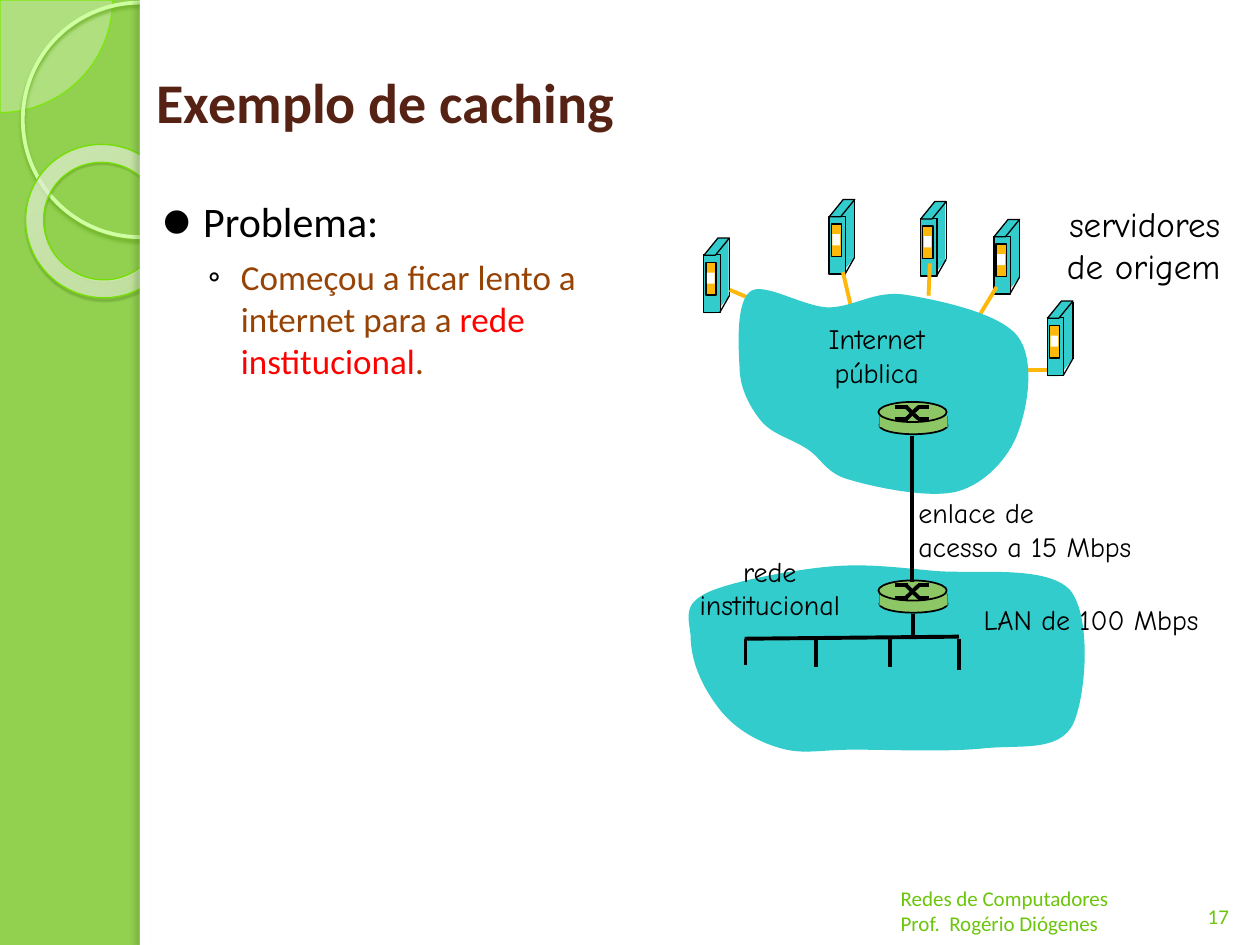
from lxml.etree import SubElement
from pptx import Presentation
from pptx.dml.color import RGBColor
from pptx.enum.shapes import MSO_CONNECTOR, MSO_SHAPE
from pptx.enum.text import MSO_ANCHOR, PP_ALIGN
from pptx.oxml import parse_xml
from pptx.oxml.ns import nsdecls, qn
from pptx.util import Pt

GREEN = RGBColor(0x92, 0xD0, 0x50)
LIME = RGBColor(0x7E, 0xE6, 0x0E)
PALE_LIME = RGBColor(0xCE, 0xFF, 0xA0)
PALE_GREEN = RGBColor(0xEE, 0xFE, 0xE3)
RING_EDGE = RGBColor(0x74, 0xE0, 0x02)
FOOTER_GREEN = RGBColor(0x6B, 0xC5, 0x0B)
ROUTER_GREEN = RGBColor(0x8D, 0xC7, 0x65)
TEAL = RGBColor(0x33, 0xCC, 0xCC)
AMBER = RGBColor(0xFE, 0xB8, 0x0A)
MAROON = RGBColor(0x56, 0x22, 0x14)
BROWN = RGBColor(0x96, 0x43, 0x05)
RED = RGBColor(0xFF, 0, 0)
BLACK = RGBColor(0, 0, 0)
WHITE = RGBColor(0xFF, 0xFF, 0xFF)
SANS, COMIC = "Calibri", "Comic Neue"

# Closed outlines: a start point, then cubic curves (two controls, one end).
INTERNET_OUTLINE = [
    (2.6, 48.5), (1.9, 36.3), (0.5, 11.1), (9.1, 5.3),
    (17, 0.3), (38.6, 14), (53, 14.7), (68.2, 14.7), (79.7, 4.6), (97.7, 7.5),
    (115.7, 10.4), (150.2, 17.6), (161, 30.5), (171.8, 43.5), (167.5, 70.8), (161.8, 86),
    (156.7, 100.4), (143, 115.5), (127.2, 119.8), (111.4, 124.1), (80.4, 117.6), (66, 113.3),
    (51.6, 109.7), (49.4, 100.4), (40.8, 95.3), (32.2, 89.6), (21.4, 87.4), (14.9, 79.5),
    (9.1, 72.3), (2.6, 61.5), (2.6, 48.5)]
INSTITUTION_OUTLINE = [
    (3.6, 40.9), (2.1, 29.4), (0, 23.6), (12.2, 17.1),
    (25.2, 10.6), (59, 4.2), (80.6, 2), (102.2, -0.2), (118.8, 2), (142.5, 4.2),
    (165.6, 6.3), (206.6, 0.6), (220.3, 15), (233.2, 30.1), (229.6, 77.6), (221.7, 92.7),
    (213.1, 107.8), (191.5, 103.5), (170.6, 105.7), (150.4, 107.8), (116.6, 106.4), (97.2, 106.4),
    (77.7, 106.4), (68.4, 109.3), (55.4, 105.7), (42.4, 102.1), (29.5, 94.9), (20.8, 84.1),
    (12.2, 73.3), (3.6, 58.2), (3.6, 40.9)]


def paint(shape, fill=None, line=None, weight=0.75):
    shape.shadow.inherit = False
    if fill is None:
        shape.fill.background()
    else:
        shape.fill.solid()
        shape.fill.fore_color.rgb = fill
    if line is None:
        shape.line.fill.background()
    else:
        shape.line.color.rgb = line
        shape.line.width = Pt(weight)


def add_part(shapes, kind, box, **look):
    shape = shapes.add_shape(kind, *map(Pt, box))
    paint(shape, **look)
    return shape


def add_line(shapes, start, end, color=BLACK, weight=2.25):
    line = shapes.add_connector(MSO_CONNECTOR.STRAIGHT, *map(Pt, start + end))
    line.line.color.rgb = color
    line.line.width = Pt(weight)
    SubElement(line.element.spPr, qn("a:effectLst"))


def add_shadow(shape, color, alpha, blur, distance, angle):
    effects = shape.element.spPr.find(qn("a:effectLst"))
    shadow = SubElement(effects, qn("a:outerShdw"), blurRad=str(Pt(blur)), dist=str(Pt(distance)),
                        dir=str(angle * 60000), algn="tl", rotWithShape="0")
    tone = SubElement(shadow, qn("a:srgbClr"), val=color)
    SubElement(tone, qn("a:alpha"), val=str(alpha * 1000))


def add_span(para, text, size, color, font=SANS, bold=False):
    span = para.add_run()
    span.text = text
    span.font.name, span.font.size, span.font.bold = font, Pt(size), bold
    span.font.color.rgb = color


def add_frame(shapes, box, anchor=MSO_ANCHOR.TOP):
    frame = shapes.add_textbox(*map(Pt, box)).text_frame
    frame.word_wrap = True
    frame.vertical_anchor = anchor
    return frame


def add_text(shapes, box, text, align=PP_ALIGN.LEFT, anchor=MSO_ANCHOR.TOP, **style):
    frame = add_frame(shapes, box, anchor)
    for index, line in enumerate(text.split("\n")):
        para = frame.add_paragraph() if index else frame.paragraphs[0]
        para.alignment = align
        add_span(para, line, **style)


def add_label(shapes, box, text, align=PP_ALIGN.CENTER, size=16):
    add_text(shapes, box, text, align, size=size, color=BLACK, font=COMIC)


def add_bullet(para, mark, margin, indent):
    props = para._p.get_or_add_pPr()
    props.set("marL", str(Pt(margin)))
    props.set("indent", str(Pt(indent)))
    SubElement(SubElement(props, qn("a:buClr")), qn("a:srgbClr"), val="000000")
    SubElement(props, qn("a:buFont"), typeface=SANS)
    SubElement(props, qn("a:buChar"), char=mark)


def add_sidebar(page, width, page_width, height):
    shapes = page.shapes
    leaf = add_part(shapes, MSO_SHAPE.PIE, (-64.3, -64.3, 128.6, 128.6), fill=PALE_GREEN, line=LIME)
    leaf.adjustments[0], leaf.adjustments[1] = 0, 54
    tint = leaf.element.spPr.find(qn("a:solidFill"))[0]
    SubElement(tint, qn("a:alpha"), val="33000")
    circle = add_part(shapes, MSO_SHAPE.OVAL, (13, 1.5, 134, 134), line=PALE_LIME, weight=2.15)
    add_shadow(circle, "6AAE22", 85, 2, 2, 90)

    ring = add_part(shapes, MSO_SHAPE.DONUT, (14.4, 82.8, 88.6, 87.1), line=RING_EDGE)
    ring.adjustments[0] = 0.118
    ring.rotation = 38.6
    stops = "".join(
        f'<a:gs pos="{place}000"><a:srgbClr val="{color}"><a:alpha val="{alpha}000"/></a:srgbClr></a:gs>'
        for place, color, alpha in ((0, "F3FFE9", 70), (70, "FAFFF1", 55), (100, "85FF00", 60)))
    gradient = parse_xml(
        f'<a:gradFill {nsdecls("a")}><a:gsLst>{stops}</a:gsLst><a:path path="circle">'
        '<a:fillToRect r="100000" b="100000"/></a:path></a:gradFill>')
    props = ring.element.spPr
    props.replace(props.find(qn("a:noFill")), gradient)
    add_shadow(ring, "335F05", 35, 1, 1.2, 75)

    add_part(shapes, MSO_SHAPE.RECTANGLE, (width, 0, page_width - width, height), fill=WHITE)
    edge = add_part(shapes, MSO_SHAPE.RECTANGLE, (width, 0, 5.8, height), fill=WHITE)
    add_shadow(edge, "466722", 25, 3, 3, 180)


def add_server(page, x, y):
    shapes = page.shapes.add_group_shape().shapes
    slant, block = MSO_SHAPE.PARALLELOGRAM, MSO_SHAPE.RECTANGLE
    for kind, (left, top, width, height), fill, line in (
            (slant, (0, 33, 14.6, 9.9), TEAL, None),
            (block, (7.4, 0.2, 6.8, 33), TEAL, None),
            (block, (0, 9.6, 9.4, 33), TEAL, BLACK),
            (slant, (0, 0, 14.6, 9.9), TEAL, BLACK),
            (block, (1.2, 14, 5.8, 18.6), AMBER, BLACK),
            (block, (1.8, 19.8, 4.4, 6.4), WHITE, None)):
        part = add_part(shapes, kind, (x + left, y + top, width, height), fill=fill, line=line)
        if kind == slant:
            part.adjustments[0] = 0.814
    corner = (x + 14.6, y + 33)
    add_line(shapes, (x + 14.6, y + 0.5), corner, weight=0.75)
    add_line(shapes, corner, (x + 9.2, y + 42.4), weight=0.75)


def add_router(page, x, y):
    shapes = page.shapes.add_group_shape().shapes
    rim = dict(fill=ROUTER_GREEN, line=BLACK, weight=1)
    add_part(shapes, MSO_SHAPE.OVAL, (x + 0.5, y + 8.4, 39, 10), **rim)
    for side in (x + 0.5, x + 39.5):
        add_line(shapes, (side, y + 8), (side, y + 13.7), weight=1)
    add_part(shapes, MSO_SHAPE.RECTANGLE, (x + 0.5, y + 8, 39, 6.2), fill=ROUTER_GREEN)
    add_part(shapes, MSO_SHAPE.OVAL, (x, y, 39, 11.5), **rim)
    for start, end in ((2.8, 9.8), (9.8, 2.8)):
        for x1, y1, x2, y2 in ((9.3, start, 16.8, start), (22.4, end, 29, end),
                               (15.8, start, 23, end)):
            add_line(shapes, (x + x1, y + y1), (x + x2, y + y2))


def add_cloud(page, x, y, outline):
    """Draw a closed outline, turning each three points after the first into a cubic curve."""
    points = [(Pt(x + across), Pt(y + down)) for across, down in outline]
    builder = page.shapes.build_freeform(*points[0])
    builder.add_line_segments(points[1:], close=True)
    cloud = builder.convert_to_shape()
    paint(cloud, fill=TEAL)
    sides = list(cloud.element.spPr.iter(qn("a:lnTo")))
    for index in range(0, len(sides), 3):
        curve = parse_xml(f'<a:cubicBezTo {nsdecls("a")}/>')
        sides[index].addprevious(curve)
        for side in sides[index:index + 3]:
            curve.append(side[0])
            side.getparent().remove(side)


def add_internet(page, x, y):
    for left, top in ((-17.8, -25), (53.8, -47), (106.1, -45.8), (148, -35.6), (178.5, 11)):
        add_server(page, x + left, y + top)
    add_label(page.shapes, (x + 171.5, y - 49, 113, 55), "servidores\nde origem", PP_ALIGN.RIGHT, size=20)
    for x1, y1, x2, y2 in ((-3, 4.6, 19, 14), (61.7, -5.5, 66.7, 16), (111.4, -10.5, 110.6, 8),
                           (149.5, 3, 139.4, 19.7), (178.3, 50.7, 159, 50.7)):
        add_line(page.shapes, (x + x1, y + y1), (x + x2, y + y2), AMBER)
    add_cloud(page, x, y, INTERNET_OUTLINE)
    add_router(page, x + 82, y + 68.7)
    add_label(page.shapes, (x + 41, y + 19.2, 80, 46), "Internet\npública")


def add_institution(page, x, y):
    add_cloud(page, x, y, INSTITUTION_OUTLINE)
    add_line(page.shapes, (x + 34.5, y + 43), (x + 157, y + 41.8))
    for left, bottom in ((35, 58), (75.2, 59), (117.5, 59), (157, 61)):
        add_line(page.shapes, (x + left, y + 43), (x + left, y + bottom))
    add_router(page, x + 111, y + 9.7)
    add_line(page.shapes, (x + 130.8, y + 28.6), (x + 130.8, y + 41.6))
    add_label(page.shapes, (x - 3.6, y - 8.8, 105, 46), "rede\ninstitucional")
    add_label(page.shapes, (x + 138, y + 18.6, 163, 27), "LAN de 100 Mbps", PP_ALIGN.RIGHT)


def add_access_link(page, x, y):
    add_line(page.shapes, (x, y), (x, y + 83.6))
    add_label(page.shapes, (x - 3.6, y + 30.8, 143, 46), "enlace de\nacesso a 15 Mbps", PP_ALIGN.LEFT)


def add_problem(page, box):
    frame = add_frame(page.shapes, box)
    heading, detail = frame.paragraphs[0], frame.add_paragraph()
    add_bullet(heading, "⚫", 28.8, -22.3)
    add_span(heading, "Problema:", 24, BLACK)
    detail.level = 1
    add_bullet(detail, "◦", 50.4, -18.7)
    detail.space_before = Pt(5.5)
    for text, color in (("Começou a ficar lento a internet para a ", BROWN),
                        ("rede institucional", RED), (".", BROWN)):
        add_span(detail, text, 20, color)


def main():
    deck = Presentation()
    deck.slide_width, deck.slide_height = Pt(720), Pt(540)
    page = deck.slides.add_slide(deck.slide_layouts[6])
    page.background.fill.solid()
    page.background.fill.fore_color.rgb = GREEN
    add_sidebar(page, 80, 720, 540)
    add_text(page.shapes, (82.4, 12.6, 626, 90), "Exemplo de caching", anchor=MSO_ANCHOR.MIDDLE,
             size=32, color=MAROON, bold=True)
    footer = dict(anchor=MSO_ANCHOR.BOTTOM, size=12, color=FOOTER_GREEN)
    add_text(page.shapes, (678.2, 496.6, 36, 37.4), "17", PP_ALIGN.CENTER, **footer)
    add_text(page.shapes, (507.6, 501.1, 198.7, 37.4),
             "Redes de Computadores\nProf.  Rogério Diógenes", **footer)
    add_internet(page, 420, 161)
    add_institution(page, 391, 322)
    add_access_link(page, 521.3, 249)
    add_problem(page, (80.2, 108, 300, 118))
    deck.save("out.pptx")


if __name__ == "__main__":
    main()
